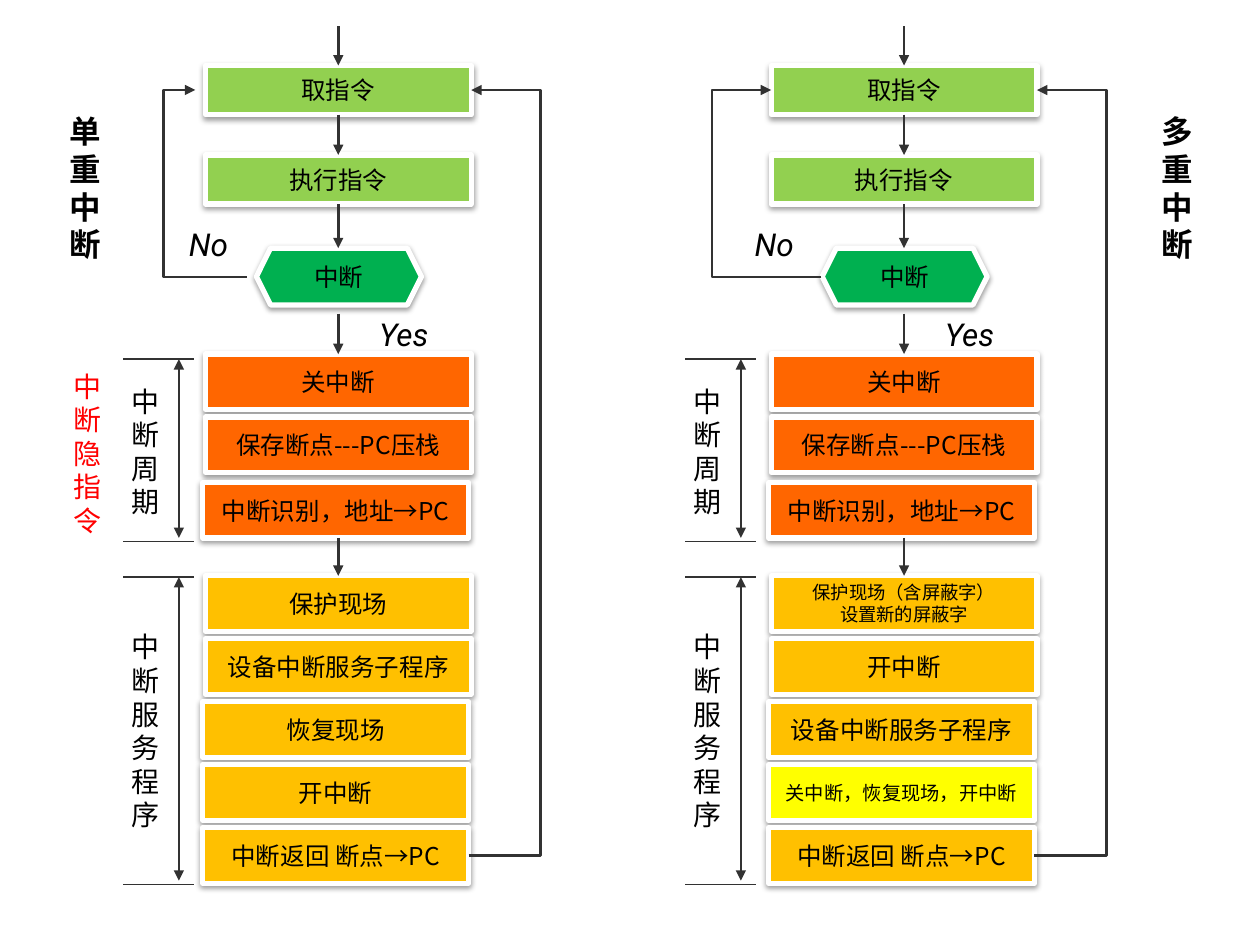
from lxml.etree import SubElement
from pptx import Presentation
from pptx.dml.color import RGBColor
from pptx.enum.lang import MSO_LANGUAGE_ID as Language
from pptx.enum.shapes import MSO_CONNECTOR as Connector, MSO_SHAPE as Shape
from pptx.enum.text import MSO_ANCHOR as Anchor, PP_ALIGN as Align
from pptx.oxml.ns import qn
from pptx.util import Inches, Pt

COLORS = {
    "fetch": "92D050", "decision": "00B050", "cycle": "FF6600",
    "service": "FFC000", "changed": "FFFF00", "border": "FFFFFF",
    "line": "323232", "text": "000000", "hidden": "FF0000",
}
CJK, LATIN, TITLE = "Noto Sans CJK SC", "Roboto", "Arial"
TOP, BOTTOM, LEFT, RIGHT = 0, 2, 1, 3

FETCH = ["取指令", "执行指令"]
CYCLE = ["关中断", "保存断点---PC压栈", "中断识别，地址→PC"]
RETURN = "中断返回 断点→PC"
FLOWS = [
    {
        "title": "单重中断", "title_x": 0.43, "x": 1.63,
        "loop": (1.96, 1.3, 1.55), "bracket_x": 0.98,
        "service": [
            (["保护现场"], 14, "service"),
            (["设备中断服务子程序"], 14, "service"),
            (["恢复现场"], 14, "service"),
            (["开中断"], 14, "service"),
            ([RETURN], 14, "service"),
        ],
    },
    {
        "title": "多重中断", "title_x": 9.1, "x": 6.12,
        "loop": (6.52, 5.65, 6.12), "bracket_x": 5.44,
        "service": [
            (["保护现场（含屏蔽字）", "设置新的屏蔽字"], 10.5, "service"),
            (["开中断"], 14, "service"),
            (["设备中断服务子程序"], 14, "service"),
            (["关中断，恢复现场，开中断"], 11, "changed"),
            ([RETURN], 14, "service"),
        ],
    },
]
BRACKETS = [
    (["中断", "周期"], 2.85, 4.3, 3.0, 1.18),
    (["中断", "服务程序"], 4.58, 7.02, 4.95, 1.72),
]
BOX_WIDTH, FETCH_HEIGHT, BOX_HEIGHT = 2.11, 0.39, 0.44
FETCH_TOPS, CYCLE_TOPS = (0.52, 1.23), (2.81, 3.31, 3.83)
SERVICE_TOP, SERVICE_STEP = 4.57, 0.5
SHIFT = 0.02

deck = Presentation()
deck.slide_width, deck.slide_height = Inches(10), Inches(7.5)
page = deck.slides.add_slide(deck.slide_layouts[6])


def color(name):
    return RGBColor.from_string(COLORS[name])


def write(frame, lines, size, font, align, ink="text", bold=False, italic=False):
    frame.word_wrap = True
    for index, line in enumerate(lines):
        para = frame.paragraphs[0] if index == 0 else frame.add_paragraph()
        para.alignment = align
        span = para.add_run()
        span.text = line
        span.font.size, span.font.name = Pt(size), font
        span.font.bold, span.font.italic = bold, italic
        span.font.color.rgb = color(ink)
        if font != LATIN:
            span.font.language_id = Language.SIMPLIFIED_CHINESE
            SubElement(span.font._element, qn("a:ea"), typeface=font)


def add_box(lines, left, top, height, fill, size=14, width=BOX_WIDTH, kind=Shape.RECTANGLE):
    box = page.shapes.add_shape(kind, *map(Inches, (left, top, width, height)))
    box.fill.solid()
    box.fill.fore_color.rgb = color(fill)
    box.line.color.rgb = color("border")
    box.line.width = Pt(3)
    box.shadow.inherit = False
    effects = box._element.spPr.find(qn("a:effectLst"))
    shadow = SubElement(effects, qn("a:outerShdw"), blurRad=str(Pt(3.1)),
                        dist=str(Pt(1.6)), dir="5400000", rotWithShape="0")
    shade = SubElement(shadow, qn("a:srgbClr"), val=COLORS["text"])
    SubElement(shade, qn("a:alpha"), val="38000")
    box.text_frame.vertical_anchor = Anchor.MIDDLE
    write(box.text_frame, lines, size, CJK, Align.CENTER)
    return box


def add_label(lines, left, top, width, height, size, font, align=Align.RIGHT, **style):
    label = page.shapes.add_textbox(*map(Inches, (left, top, width, height)))
    write(label.text_frame, lines, size, font, align, **style)


def add_line(start, end, weight=1.5, heads=("tailEnd",), bend_x=None):
    kind = Connector.STRAIGHT if bend_x is None else Connector.ELBOW
    line = page.shapes.add_connector(kind, *map(Inches, start + end))
    line.line.color.rgb = color("line")
    line.line.width = Pt(weight)
    for head in heads:
        SubElement(line.line._get_or_add_ln(), qn("a:" + head), type="triangle")
    properties = line._element.spPr
    SubElement(properties, qn("a:effectLst"))
    if bend_x is not None:
        ratio = (bend_x - start[0]) / (end[0] - start[0])
        guides = properties.find(qn("a:prstGeom")).get_or_add_avLst()
        SubElement(guides, qn("a:gd"), name="adj1", fmla=f"val {round(ratio * 100000)}")
    return line


def add_flow(flow):
    left = flow["x"]
    middle = left + BOX_WIDTH / 2
    fetch, execute = [add_box([text], left, top, FETCH_HEIGHT, "fetch")
                      for text, top in zip(FETCH, FETCH_TOPS)]
    add_box(["中断"], middle - 0.65, 1.97, 0.45, "decision", width=1.31, kind=Shape.HEXAGON)
    cycle = [add_box([text], left - SHIFT * (index == 2), top, BOX_HEIGHT, "cycle")
             for index, (text, top) in enumerate(zip(CYCLE, CYCLE_TOPS))]
    service = [add_box(lines, left - SHIFT * (index > 1), SERVICE_TOP + index * SERVICE_STEP,
                       BOX_HEIGHT, fill, size)
               for index, (lines, size, fill) in enumerate(flow["service"])]

    steps = [
        (0.21, 0.52, None, fetch),
        (0.91, 1.23, fetch, execute),
        (1.62, 1.97, execute, None),
        (2.49, 2.81, None, cycle[0]),
        (4.27, 4.57, None, service[0]),
    ]
    for top, bottom, source, target in steps:
        arrow = add_line((middle, top), (middle, bottom))
        if source:
            arrow.begin_connect(source, BOTTOM)
        if target:
            arrow.end_connect(target, TOP)

    start_x, bend_x, end_x = flow["loop"]
    fetch_y = FETCH_TOPS[0] + FETCH_HEIGHT / 2
    return_y = SERVICE_TOP + 4 * SERVICE_STEP + BOX_HEIGHT / 2
    right = left + BOX_WIDTH
    add_line((start_x, 2.2), (end_x, fetch_y), bend_x=bend_x)
    add_line((right - SHIFT, return_y), (right, fetch_y), bend_x=right + 0.55)

    add_label(["No"], left - 0.23, 1.74, 0.63, 0.4, 18, LATIN, Align.LEFT, italic=True)
    add_label(["Yes"], left + 1.28, 2.45, 0.81, 0.4, 18, LATIN, Align.LEFT, italic=True)
    add_label([flow["title"]], flow["title_x"], 0.84, 0.47, 1.31, 18, TITLE, bold=True)


def add_brackets(left):
    for lines, top, bottom, text_top, text_height in BRACKETS:
        for y in (top, bottom):
            add_line((left, y), (left + 0.56, y), 0.75, ())
        add_line((left + 0.44, top), (left + 0.44, bottom - 0.03), 0.75, ("headEnd", "tailEnd"))
        add_label(lines, left - 0.09, text_top, 0.47, text_height, 16, CJK)


for flow in FLOWS:
    add_flow(flow)
    add_brackets(flow["bracket_x"])
add_label(["中断隐指令"], 0.43, 2.88, 0.47, 1.45, 16, CJK, ink="hidden")

deck.save("out.pptx")
